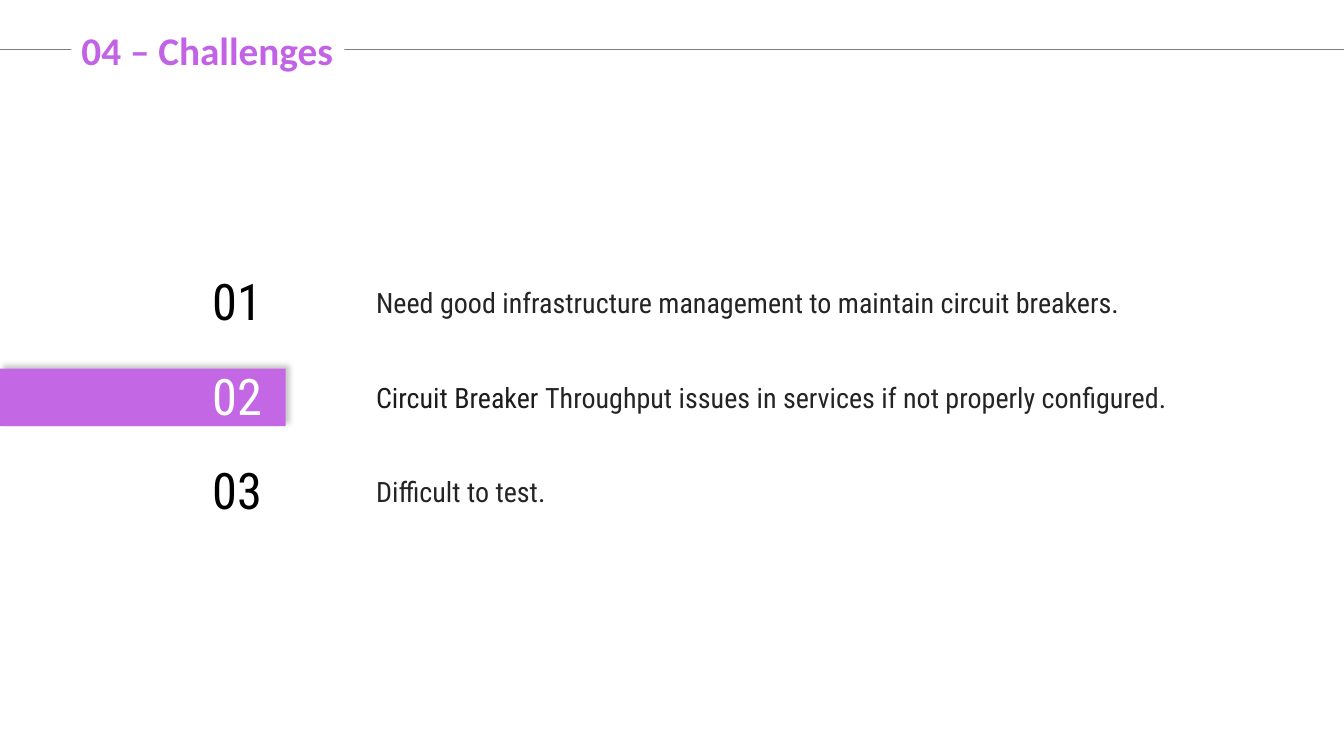
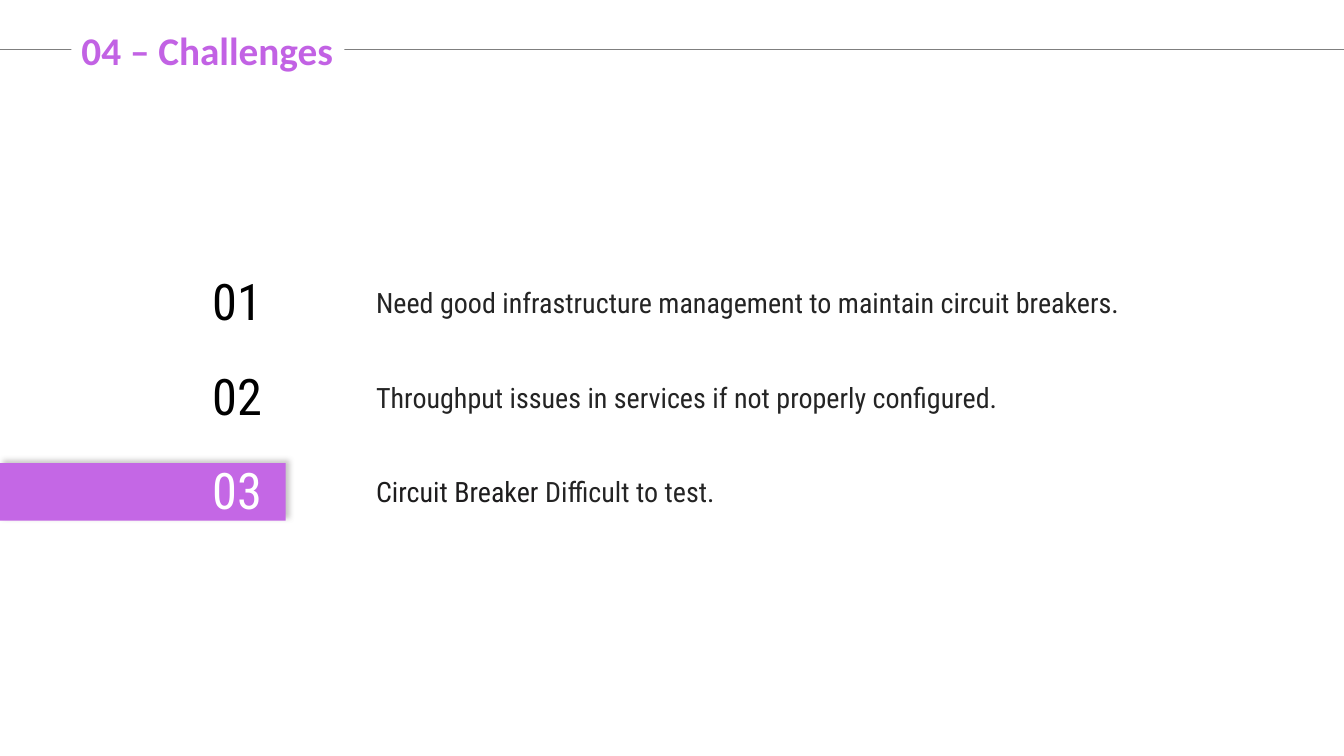
from lxml.etree import SubElement
from pptx import Presentation
from pptx.dml.color import RGBColor
from pptx.enum.shapes import MSO_CONNECTOR, MSO_SHAPE
from pptx.enum.text import MSO_ANCHOR, MSO_AUTO_SIZE, PP_ALIGN
from pptx.oxml.ns import qn
from pptx.util import Inches, Pt

WIDTH, HEIGHT = Inches(13.33), Inches(7.5)
COLS, ROWS = 16, 8
HUES = {
    "title": "C262E4", "bar": "C467E5", "rule": "7F7F7F", "shade": "767171",
    "white": "FFFFFF", "black": "000000", "body": "242424", "lead": "1D1C1D",
}
HEAD, BODY = "Calibri", "Roboto Condensed"
FIRST = 2.81  # grid row of the first number
LEAD = "Circuit Breaker "
ITEMS = [
    "Need good infrastructure management to maintain circuit breakers.",
    "Throughput issues in services if not properly configured.",
    "Difficult to test.",
]


def hue(name):
    return RGBColor.from_string(HUES[name])


def write(shape, *parts, size=20, font=BODY, bold=False, align=PP_ALIGN.LEFT,
          anchor=MSO_ANCHOR.TOP):
    """Fill a shape with one paragraph made of (text, colour) parts."""
    frame = shape.text_frame
    frame.word_wrap = True
    frame.auto_size = MSO_AUTO_SIZE.SHAPE_TO_FIT_TEXT
    frame.vertical_anchor = anchor
    para = frame.paragraphs[0]
    para.alignment = align
    for text, tint in parts:
        run = para.add_run()
        run.text = text
        run.font.size, run.font.name, run.font.bold = Pt(size), font, bold
        run.font.color.rgb = hue(tint)


class Deck:
    def __init__(self):
        self.file = Presentation()
        self.file.slide_width, self.file.slide_height = WIDTH, HEIGHT
        self.slide = None

    def grid(self, col, row):
        return round(WIDTH * col / COLS), round(HEIGHT * row / ROWS)

    def box(self, col, row, wide, high):
        return *self.grid(col, row), *self.grid(wide, high)

    def start(self, title):
        """Add a slide with its title set over the rule."""
        self.slide = self.file.slides.add_slide(self.file.slide_layouts[5])
        head = self.slide.shapes.title
        head.left, head.top, head.width, head.height = self.box(0.85, 0.22, 3.25, 0.61)
        head.fill.solid()
        head.fill.fore_color.rgb = hue("white")
        write(head, (title, "title"), size=28, font=HEAD, bold=True)
        self.rule(0.52, head)

    def rule(self, row, front):
        """Draw a line across the slide, behind the front shape."""
        line = self.slide.shapes.add_connector(
            MSO_CONNECTOR.STRAIGHT, *self.grid(0, row), *self.grid(COLS, row))
        line.line.color.rgb = hue("rule")
        line.line.width = Pt(0.5)
        SubElement(line._element.spPr, qn("a:effectLst"))
        front._element.addprevious(line._element)

    def bar(self, row):
        bar = self.slide.shapes.add_shape(
            MSO_SHAPE.RECTANGLE, *self.box(0, row, 3.4, 0.61))
        bar.fill.solid()
        bar.fill.fore_color.rgb = hue("bar")
        bar.line.fill.background()
        self.shade(bar)

    def shade(self, shape):
        """Cast a soft shadow up and to the right."""
        glow = SubElement(shape._element.spPr, qn("a:effectLst"))
        cast = SubElement(glow, qn("a:outerShdw"), blurRad=str(Pt(4)),
                          dist=str(Pt(3)), dir=str(315 * 60000),
                          algn="bl", rotWithShape="0")
        tint = SubElement(cast, qn("a:srgbClr"), val=HUES["shade"])
        SubElement(tint, qn("a:alpha"), val="40000")

    def text(self, place, *parts, **style):
        write(self.slide.shapes.add_textbox(*self.box(*place)), *parts, **style)

    def item(self, index, text, active):
        row = FIRST + index
        if active:
            self.bar(row + 0.09)
        self.text((2.27, row, 0.97, 0.76),
                  (f"{index + 1:02}", "white" if active else "black"),
                  size=36, align=PP_ALIGN.RIGHT)
        parts = [(LEAD, "lead")] if active else []
        self.text((4.36, row + 0.16, 10.68, 0.47), *parts, (text, "body"))


def main():
    deck = Deck()
    for active in (1, 2):
        deck.start("04 – Challenges")
        for index, text in enumerate(ITEMS):
            deck.item(index, text, index == active)
    deck.file.save("out.pptx")


if __name__ == "__main__":
    main()
